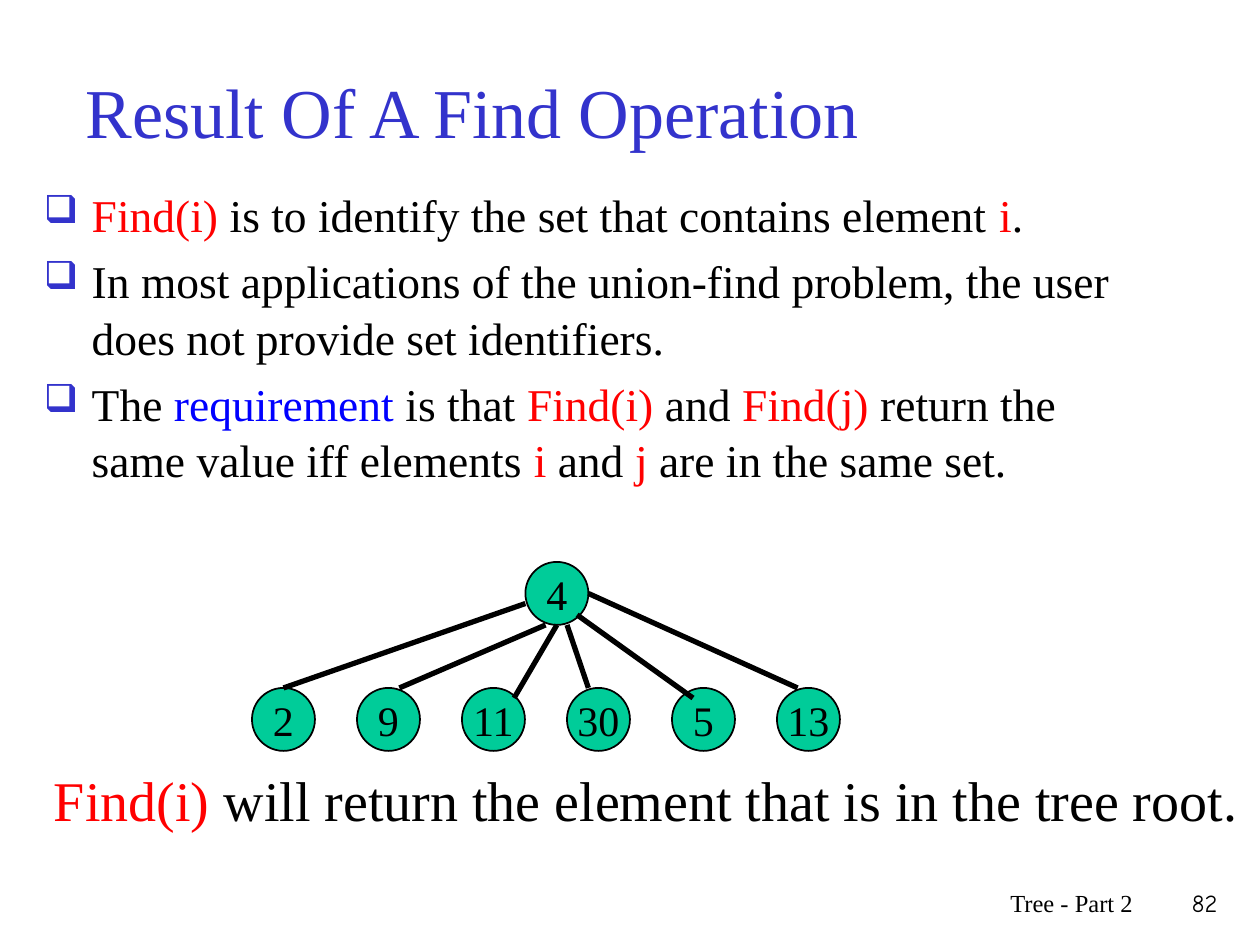
import pptx
import pptx.util
import pptx.dml.color
import pptx.enum.shapes
import pptx.enum.text
import lxml.etree

Inches = pptx.util.Inches
Pt = pptx.util.Pt
ALIGN = pptx.enum.text.PP_ALIGN
ANCHOR = pptx.enum.text.MSO_ANCHOR
COLORS = {"title": "3333CC", "key": "FF0000", "term": "0000FF",
          "text": "000000", "node": "00CC99"}
SERIF = "Times New Roman"
NODE = 0.5
STEP = 5 / 6
ROOT = (4.17, 4.46)
ROW = (2, 5.46)
LEAVES = ["2", "9", "11", "30", "5", "13"]
EDGES = [
    ((4.17, 4.79), (2.25, 5.46)),
    ((4.33, 4.96), (3.17, 5.46)),
    ((4.42, 4.96), (4.08, 5.54)),
    ((4.5, 4.96), (4.67, 5.46)),
    ((4.58, 4.88), (5.5, 5.54)),
    ((4.67, 4.71), (6.33, 5.46)),
]
POINTS = [
    [("Find(i)", "key"), (" is to identify the set that contains element ", "text"),
     ("i", "key"), (".", "text")],
    [("In most applications of the union-find problem, the user does not "
      "provide set identifiers.", "text")],
    [("The ", "text"), ("requirement", "term"), (" is that ", "text"),
     ("Find(i)", "key"), (" and ", "text"), ("Find(j)", "key"),
     (" return the same value iff elements ", "text"), ("i", "key"),
     (" and ", "text"), ("j", "key"), (" are in the same set.", "text")],
]
RESULT = [("Find(i) ", "key"),
          ("will return the element that is in the tree root.", "text")]


def rgb(name):
    return pptx.dml.color.RGBColor.from_string(COLORS[name])


def write(para, parts, size, font=SERIF, align=ALIGN.LEFT):
    """Fill a paragraph with (text, colour name) parts."""
    para.alignment = align
    para.font.size = Pt(size)
    para.font.name = font
    for text, color in parts:
        run = para.add_run()
        run.text = text
        run.font.color.rgb = rgb(color)


def add_box(slide, left, top, width, height):
    box = slide.shapes.add_textbox(*map(Inches, (left, top, width, height)))
    box.text_frame.word_wrap = True
    return box.text_frame


def add_bullet(para):
    props = para._p.get_or_add_pPr()
    props.set("marL", str(Inches(0.38)))
    props.set("indent", str(-Inches(0.38)))
    tag = "{http://schemas.openxmlformats.org/drawingml/2006/main}"
    color = lxml.etree.SubElement(props, tag + "buClr")
    lxml.etree.SubElement(color, tag + "srgbClr", val=COLORS["title"])
    lxml.etree.SubElement(props, tag + "buSzPct", val="85000")
    lxml.etree.SubElement(props, tag + "buChar", char="❑")


def add_title(slide, text):
    title = slide.shapes.title
    title.left, title.top = Inches(0.58), Inches(0.25)
    title.width, title.height = Inches(8.5), Inches(1.25)
    title.text_frame.vertical_anchor = ANCHOR.MIDDLE
    write(title.text_frame.paragraphs[0], [(text, "title")], 40)


def add_points(slide):
    frame = add_box(slide, 0.25, 1.42, 8.77, 3.51)
    for i, parts in enumerate(POINTS):
        para = frame.add_paragraph() if i else frame.paragraphs[0]
        add_bullet(para)
        para.line_spacing = 1.04
        if i:
            para.space_before = Pt(5.2)
        write(para, parts, 26)


def add_node(slide, left, top, label):
    node = slide.shapes.add_shape(
        pptx.enum.shapes.MSO_SHAPE.OVAL,
        *map(Inches, (left, top, NODE, NODE)))
    node.shadow.inherit = False
    node.fill.solid()
    node.fill.fore_color.rgb = rgb("node")
    node.line.color.rgb = rgb("text")
    node.line.width = Pt(1)
    frame = node.text_frame
    frame.margin_left = frame.margin_right = 0
    frame.margin_top = frame.margin_bottom = 0
    frame.word_wrap = False
    frame.vertical_anchor = ANCHOR.MIDDLE
    write(frame.paragraphs[0], [(label, "text")], 24, align=ALIGN.CENTER)


def add_edge(slide, start, end):
    edge = slide.shapes.add_connector(
        pptx.enum.shapes.MSO_CONNECTOR.STRAIGHT, *map(Inches, start + end))
    edge.line.color.rgb = rgb("text")
    edge.line.width = Pt(3)
    props = edge._element.spPr
    lxml.etree.SubElement(
        props, "{http://schemas.openxmlformats.org/drawingml/2006/main}effectLst")


def add_tree(slide):
    add_node(slide, *ROOT, "4")
    for i, label in enumerate(LEAVES):
        add_node(slide, ROW[0] + i * STEP, ROW[1], label)
    for start, end in EDGES:
        add_edge(slide, start, end)


def add_line(slide, place, parts, size, font=SERIF, align=ALIGN.LEFT):
    """Add a text box that holds one paragraph."""
    write(add_box(slide, *place).paragraphs[0], parts, size, font, align)


def main():
    deck = pptx.Presentation()
    deck.slide_width, deck.slide_height = Inches(10), Inches(7.5)
    slide = deck.slides.add_slide(deck.slide_layouts[5])
    add_title(slide, "Result Of A Find Operation")
    add_points(slide)
    add_tree(slide)
    add_line(slide, (0.33, 6.03, 9.67, 0.63), RESULT, 32)
    add_line(slide, (5.92, 7, 3.17, 0.5), [("Tree - Part 2", "text")], 14,
             align=ALIGN.RIGHT)
    add_line(slide, (9.08, 7, 0.68, 0.5), [("82", "text")], 14,
             "Comic Neue", ALIGN.RIGHT)
    deck.save("out.pptx")


if __name__ == "__main__":
    main()
